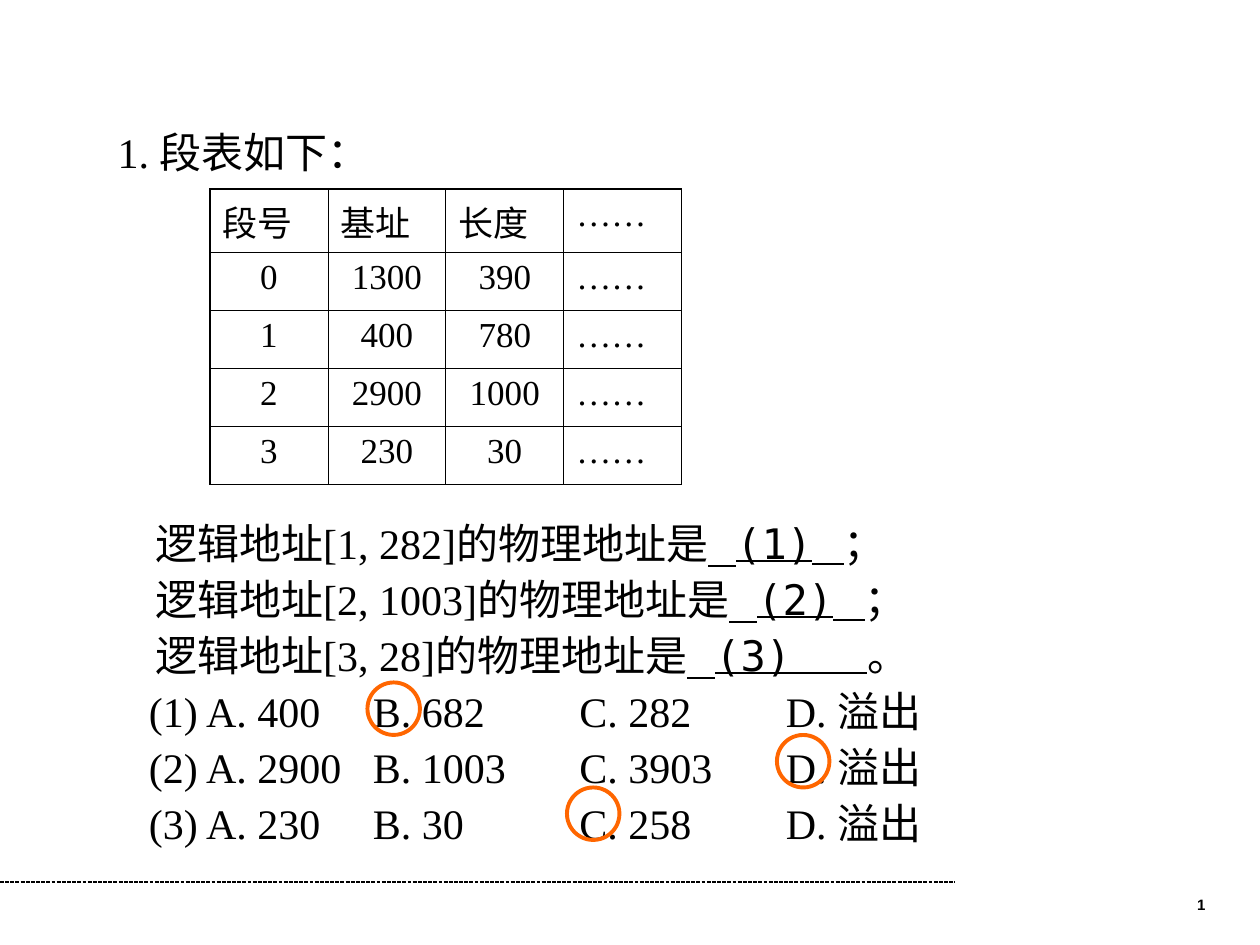
from dataclasses import dataclass

from lxml import etree
from pptx import Presentation
from pptx.dml.color import RGBColor
from pptx.enum.dml import MSO_LINE
from pptx.enum.shapes import MSO_CONNECTOR, MSO_SHAPE
from pptx.enum.text import MSO_AUTO_SIZE, PP_ALIGN
from pptx.oxml.ns import qn
from pptx.util import Pt

LEFT, CENTER, RIGHT = PP_ALIGN.LEFT, PP_ALIGN.CENTER, PP_ALIGN.RIGHT
STRAIGHT, OVAL = MSO_CONNECTOR.STRAIGHT, MSO_SHAPE.OVAL
DASH, FIXED = MSO_LINE.SQUARE_DOT, MSO_AUTO_SIZE.NONE


@dataclass(frozen=True)
class Theme:
    ink: str = "000000"
    mark: str = "FF6600"
    serif: str = "Times New Roman"
    mono: str = "DejaVu Sans Mono"
    sans: str = "Arial"
    body: float = 24
    cell: float = 20
    page: float = 8.6
    thin: float = 0.45
    thick: float = 1.08
    ring: float = 2.25


class Deck:
    def __init__(self, theme):
        self.theme = theme
        self.prs = Presentation()
        self.prs.slide_width, self.prs.slide_height = Pt(720), Pt(540)
        self.slide = self.prs.slides.add_slide(self.prs.slide_layouts[1])
        title = self.slide.shapes.title
        title.element.getparent().remove(title.element)

    def style(self, font, face, size, bold=False):
        font.name, font.size, font.bold = face, Pt(size), bold
        font.color.rgb = RGBColor.from_string(self.theme.ink)

    def rule(self, x, y, end):
        line = self.slide.shapes.add_connector(STRAIGHT, Pt(x), Pt(y), Pt(end), Pt(y))
        line.line.color.rgb = RGBColor.from_string(self.theme.ink)
        line.line.width, line.line.dash_style = Pt(0.75), DASH
        etree.SubElement(line._element.spPr, qn("a:effectLst"))

    def frame(self, x, y, w, h):
        frame = self.slide.shapes.add_textbox(Pt(x), Pt(y), Pt(w), Pt(h)).text_frame
        frame.word_wrap = True
        return frame

    def page(self, text, x, y, w, h):
        frame = self.frame(x, y, w, h)
        frame.text = text
        para = frame.paragraphs[0]
        para.alignment, para.line_spacing = RIGHT, 0.8
        self.style(para.runs[0].font, self.theme.sans, self.theme.page, True)

    def body(self, lines, x, y, w, h):
        """Fill the body with (gap, indent, runs); a run is (text, face, underline)."""
        box = self.slide.placeholders[1]
        box.left, box.top, box.width, box.height = Pt(x), Pt(y), Pt(w), Pt(h)
        frame = box.text_frame
        frame.auto_size, frame.word_wrap = FIXED, True
        for i, (gap, indent, runs) in enumerate(lines):
            para = frame.add_paragraph() if i else frame.paragraphs[0]
            props = para._p.get_or_add_pPr()
            props.set("marL", str(Pt(indent)))
            props.set("indent", "0")
            etree.SubElement(props, qn("a:buNone"))
            para.space_before, para.line_spacing = Pt(gap), 0.9
            for text, face, under in runs:
                run = para.add_run()
                run.text = text
                self.style(run.font, face, self.theme.body)
                run.font.underline = under

    def choices(self, lines, stops, x, y, w, h):
        """Set tabbed lines in a text box of their own, on shared stops."""
        frame = self.frame(x, y, w, h)
        frame.text = "\n".join(lines)
        for i, para in enumerate(frame.paragraphs):
            tabs = etree.SubElement(para._p.get_or_add_pPr(), qn("a:tabLst"))
            for stop in stops:
                etree.SubElement(tabs, qn("a:tab"), pos=str(Pt(stop)), algn="l")
            para.space_before, para.line_spacing = Pt(6 if i else 0), 0.9
            self.style(para.runs[0].font, self.theme.serif, self.theme.body)

    def border(self, cell, side, width):
        line = etree.SubElement(cell._tc.get_or_add_tcPr(), qn("a:ln" + side), w=str(Pt(width)))
        fill = etree.SubElement(line, qn("a:solidFill"))
        etree.SubElement(fill, qn("a:srgbClr"), val=self.theme.ink)

    def table(self, rows, x, y, wide, highs):
        """Draw a grid with thin inner lines and a thick frame."""
        high, count = len(rows), len(rows[0])
        grid = self.slide.shapes.add_table(
            high, count, Pt(x), Pt(y), Pt(wide * count), Pt(sum(highs))).table
        grid.first_row = grid.horz_banding = False
        for col in grid.columns:
            col.width = Pt(wide)
        for r, row in enumerate(rows):
            grid.rows[r].height = Pt(highs[r])
            for c, text in enumerate(row):
                cell = grid.cell(r, c)
                edges = {"L": c == 0, "R": c == count - 1, "T": r == 0, "B": r == high - 1}
                for side, outer in edges.items():
                    self.border(cell, side, self.theme.thick if outer else self.theme.thin)
                cell.fill.background()
                cell.text_frame.text = text
                para = cell.text_frame.paragraphs[0]
                para.alignment = CENTER if text.isdigit() else LEFT
                self.style(para.runs[0].font, self.theme.serif, self.theme.cell)

    def ring(self, x, y, size=30):
        oval = self.slide.shapes.add_shape(OVAL, Pt(x), Pt(y), Pt(size), Pt(size))
        oval.shadow.inherit = False
        oval.fill.background()
        oval.line.color.rgb = RGBColor.from_string(self.theme.mark)
        oval.line.width = Pt(self.theme.ring)


def main():
    theme = Theme()
    deck = Deck(theme)
    serif, mono = theme.serif, theme.mono
    blank = " " * 3

    lines = [(0, 0, [("1. 段表如下：", serif, False)])]
    asks = [("1, 282", serif, "；"), ("2, 1003", serif, "；"), ("3, 28", mono, "。")]
    for i, (pair, face, stop) in enumerate(asks):
        lines.append((6 if i else 197.5, 21.5, [
            (f"逻辑地址[{pair}]的物理地址是", serif, False),
            (blank, serif, True),
            (f"({i + 1})", mono, True),
            (blank, face, True),
            (stop, serif, False)]))
    picks = [(400, 682, 282), (2900, 1003, 3903), (230, 30, 258)]
    options = [f"({i}) A. {a}\tB. {b}\tC. {c}\tD. 溢出"
               for i, (a, b, c) in enumerate(picks, 1)]

    deck.rule(0, 504, 546)
    deck.page("1", 528, 510, 168, 19.5)
    deck.body(lines, 60, 72, 606, 320)
    deck.choices(options, [128 + 118 * n for n in range(3)], 78, 391.5, 588, 100)
    rows = [("段号", "基址", "长度", "……")]
    sizes = [(1300, 390), (400, 780), (2900, 1000), (230, 30)]
    rows += [(str(n), str(base), str(size), "……") for n, (base, size) in enumerate(sizes)]
    deck.table(rows, 120, 108, 67.4, [36] + [33.2] * 4)
    for i, x in enumerate((210, 444, 324)):
        deck.ring(x, 390 + 30 * i)
    deck.prs.save("out.pptx")


if __name__ == "__main__":
    main()
